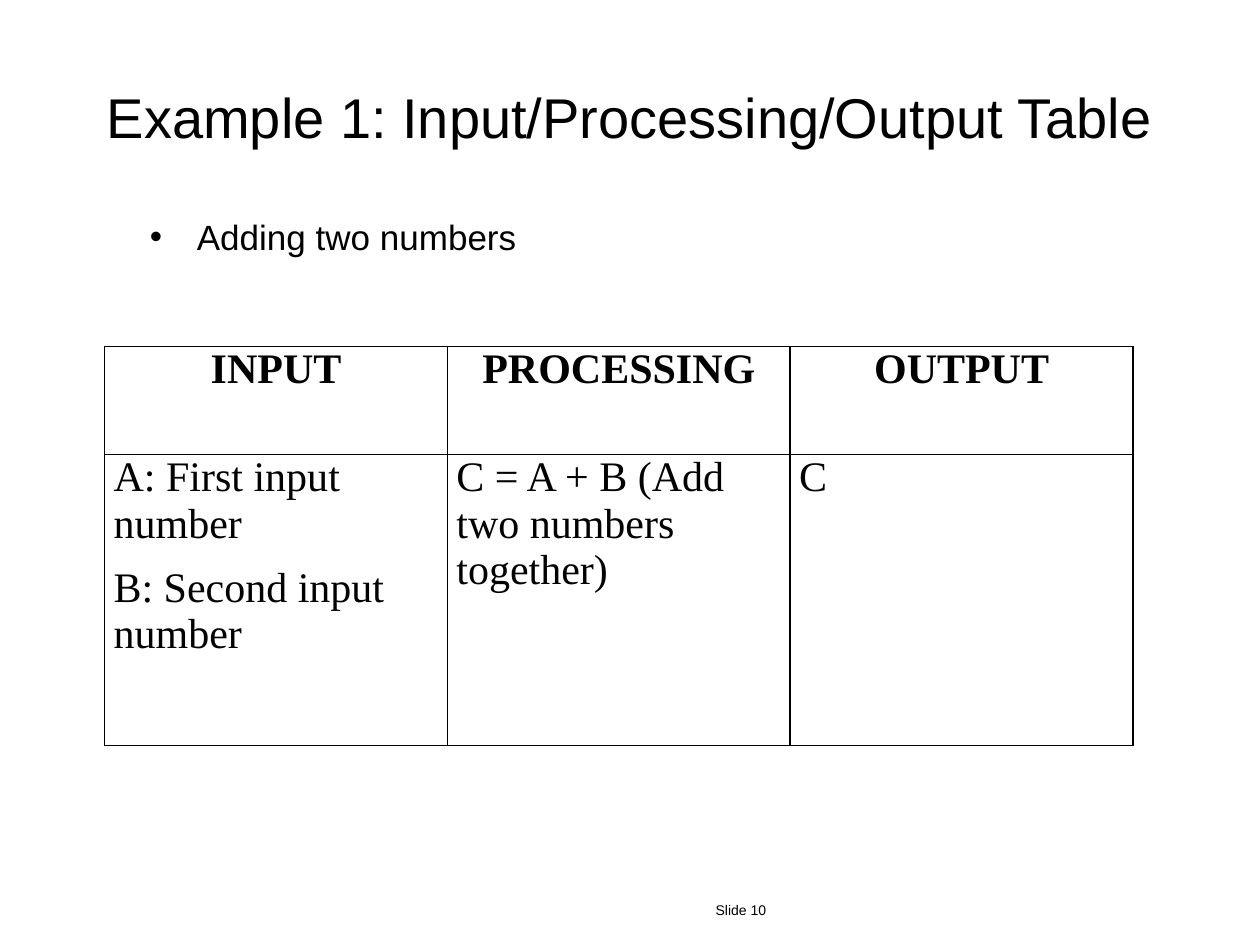
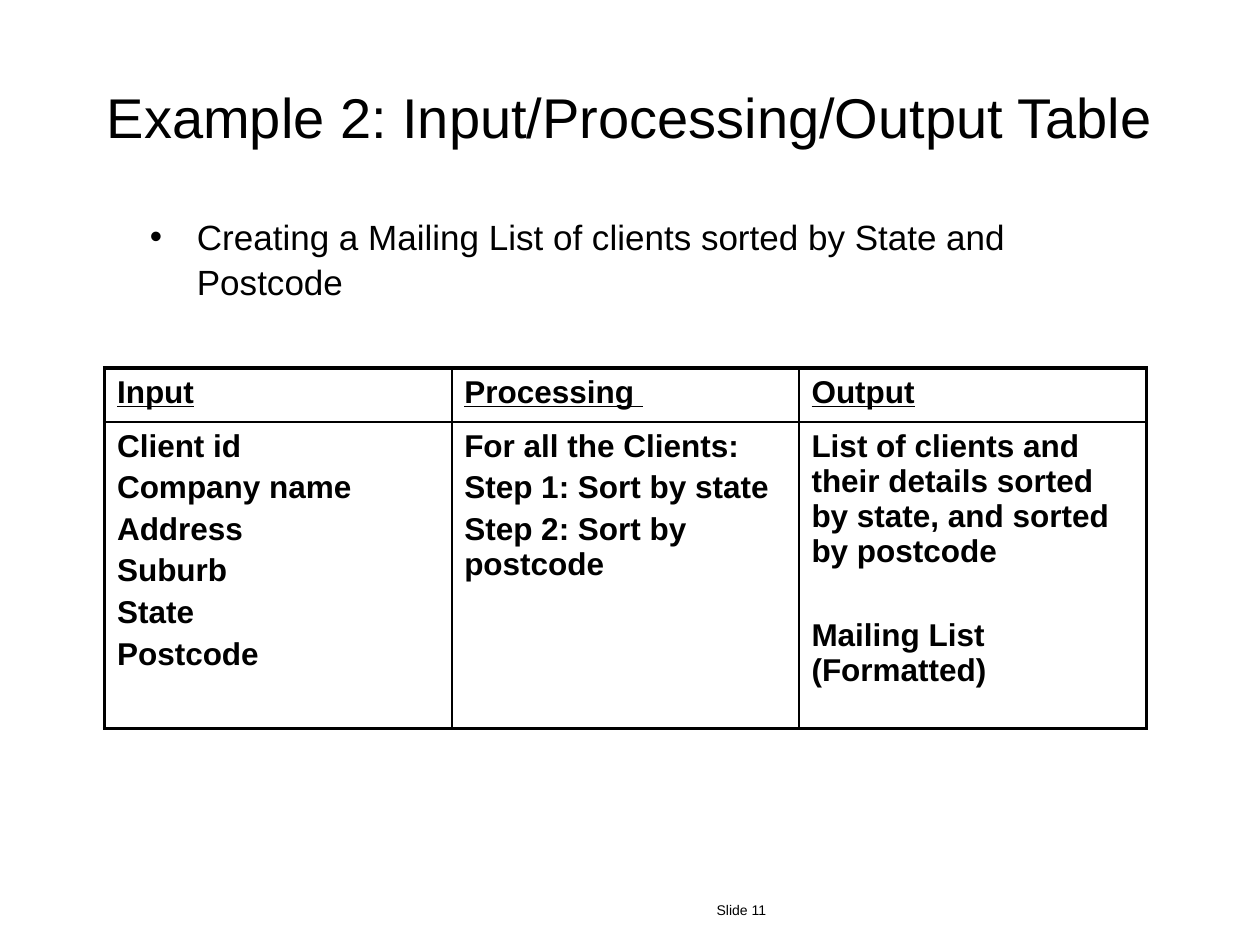
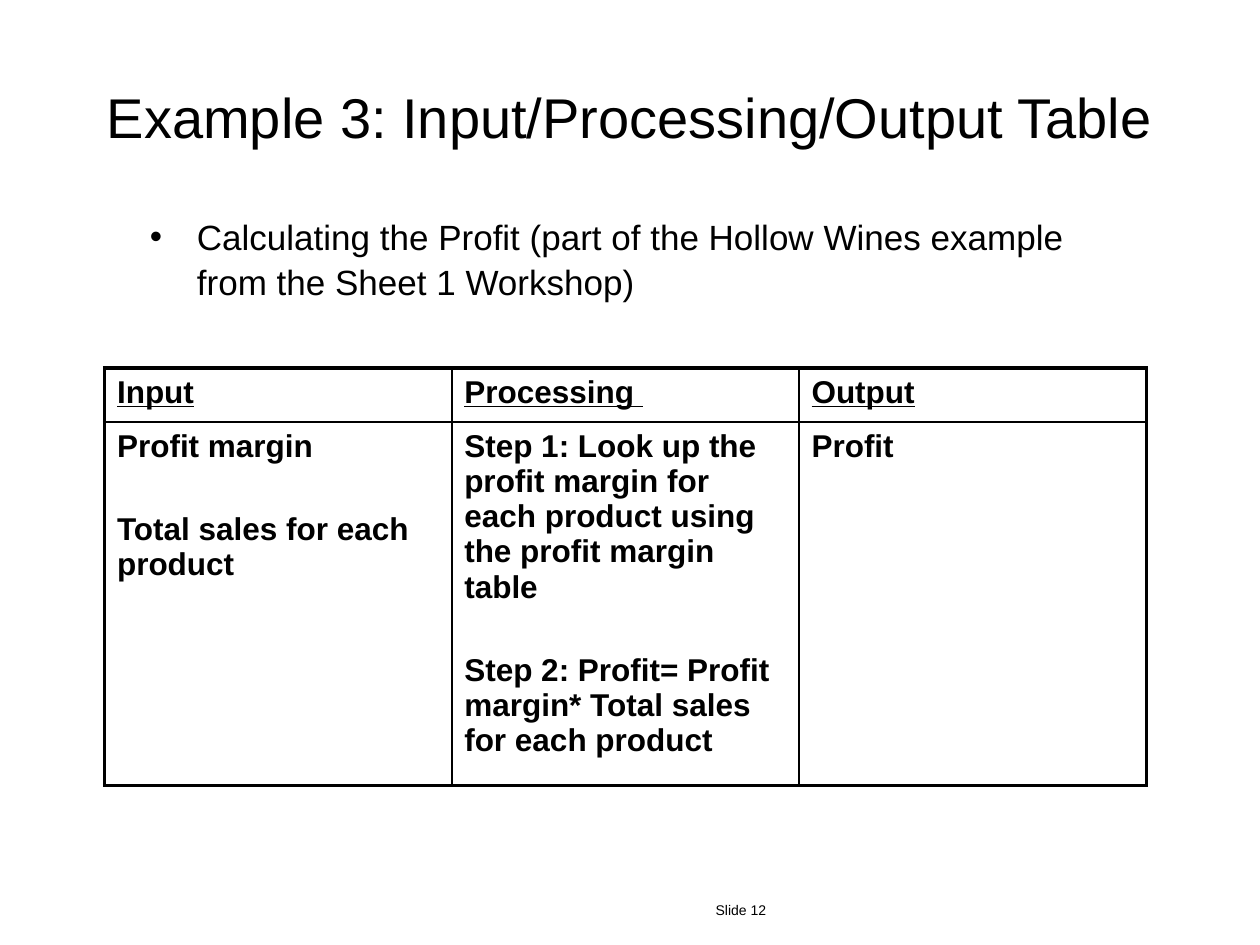
"""Build three slides that show input/processing/output tables."""

from dataclasses import dataclass
from typing import NamedTuple

from lxml.etree import SubElement
from pptx import Presentation
from pptx.dml.color import RGBColor
from pptx.enum.text import MSO_ANCHOR as Anchor, PP_ALIGN as Align
from pptx.oxml.ns import qn
from pptx.util import Cm, Length, Pt

BLACK = RGBColor(0x00, 0x00, 0x00)
SANS = "Arial"
SERIF = "Times New Roman"
TABLE_LEFT = Cm(2.11)
BULLET_INDENT = Cm(0.95)
FIRST_NUMBER = 10
STEP_HEADINGS = ("Input", "Processing ", "Output")


class Entry(NamedTuple):
    """A paragraph of a table cell, with a wide gap above if it is set apart."""

    text: str
    apart: bool = False


@dataclass(frozen=True)
class TableStyle:
    """The look of a table."""

    font: str
    size: Pt
    top: Length
    column_width: Length
    header_height: Length
    side_margin: Length
    end_margin: Length
    entry_gap: Pt
    apart_gap: Pt
    outer_line: Pt
    header_align: Align
    header_underline: bool
    body_bold: bool


@dataclass(frozen=True)
class Example:
    """The content of one slide."""

    task: str
    headings: tuple[str, ...]
    columns: tuple[tuple[Entry, ...], ...]
    body_height: Length
    style: TableStyle


PLAIN = TableStyle(SERIF, Pt(24), Cm(6.98), Cm(6.91), Cm(2.18), Cm(0.18), Cm(0),
                   Pt(10), Pt(10), Pt(1), Align.CENTER, False, False)
FRAMED = TableStyle(SANS, Pt(18), Cm(7.42), Cm(7), Cm(1.09), Cm(0.25), Cm(0.13),
                    Pt(3.6), Pt(27.3), Pt(2.25), Align.LEFT, True, True)

EXAMPLES = (
    Example(
        "Adding two numbers",
        ("INPUT", "PROCESSING", "OUTPUT"),
        (
            (Entry("A: First input number"), Entry("B: Second input number")),
            (Entry("C = A + B (Add two numbers together)"),),
            (Entry("C"),),
        ),
        Cm(5.87),
        PLAIN,
    ),
    Example(
        "Creating a Mailing List of clients sorted by State and Postcode",
        STEP_HEADINGS,
        (
            tuple(map(Entry, ("Client id", "Company name", "Address",
                              "Suburb", "State", "Postcode"))),
            tuple(map(Entry, ("For all the Clients:", "Step 1: Sort by state",
                              "Step 2: Sort by postcode"))),
            (
                Entry("List of clients and their details sorted by state, "
                      "and sorted by postcode"),
                Entry("Mailing List (Formatted)", apart=True),
            ),
        ),
        Cm(6.17),
        FRAMED,
    ),
    Example(
        "Calculating the Profit (part of the Hollow Wines example "
        "from the Sheet 1 Workshop)",
        STEP_HEADINGS,
        (
            (Entry("Profit margin"),
             Entry("Total sales for each product", apart=True)),
            (
                Entry("Step 1: Look up the profit margin for each product "
                      "using the profit margin table"),
                Entry("Step 2: Profit= Profit margin* Total sales "
                      "for each product", apart=True),
            ),
            (Entry("Profit"),),
        ),
        Cm(6.91),
        FRAMED,
    ),
)


def format_runs(paragraph, font: str, size: Pt, bold: bool = False,
                underline: bool = False) -> None:
    """Give every run of a paragraph the same black type."""
    for run in paragraph.runs:
        run.font.name = font
        run.font.size = size
        run.font.bold = bold
        run.font.underline = underline
        run.font.color.rgb = BLACK


def add_title(slide, text: str) -> None:
    """Move, fill and format the title placeholder."""
    title = slide.shapes.title
    title.left, title.top, title.width, title.height = (
        Cm(1.27), Cm(0.76), Cm(22.86), Cm(3.18))
    title.text_frame.text = text
    title.text_frame.vertical_anchor = Anchor.MIDDLE
    heading = title.text_frame.paragraphs[0]
    heading.alignment = Align.CENTER
    format_runs(heading, SANS, Pt(32))


def add_task(slide, text: str) -> None:
    """Add the bulleted line that names the task."""
    frame = slide.shapes.add_textbox(
        Cm(2.77), Cm(4.17), Cm(19.79), Cm(6.2)).text_frame
    frame.word_wrap = True
    frame.text = text
    task = frame.paragraphs[0]
    task.line_spacing = 1.07
    format_runs(task, SANS, Pt(20))
    properties = task._p.get_or_add_pPr()
    properties.set("marL", str(BULLET_INDENT))
    properties.set("indent", str(-BULLET_INDENT))
    SubElement(properties, qn("a:buFont"), typeface=SANS)
    SubElement(properties, qn("a:buChar"), char="•")


def add_slide_number(slide, number: int) -> None:
    """Add the slide number at the foot."""
    frame = slide.shapes.add_textbox(
        Cm(12.09), Cm(17.32), Cm(3.61), Cm(1.32)).text_frame
    frame.word_wrap = True
    frame.vertical_anchor = Anchor.BOTTOM
    frame.text = f"Slide {number}"
    frame.paragraphs[0].alignment = Align.RIGHT
    format_runs(frame.paragraphs[0], SANS, Pt(8))


def draw_borders(cell, outer_sides: set[str], outer_line: Pt) -> None:
    """Draw the four borders of a cell, with its outer sides in their own width."""
    properties = cell._tc.get_or_add_tcPr()
    for side in "LRTB":
        width = outer_line if side in outer_sides else Pt(1)
        border = SubElement(properties, qn(f"a:ln{side}"), w=str(width))
        fill = SubElement(border, qn("a:solidFill"))
        SubElement(fill, qn("a:srgbClr"), val=str(BLACK))


def fill_cell(cell, entries: tuple[Entry, ...], style: TableStyle,
              is_header: bool) -> None:
    """Write the entries of a cell one below the other."""
    cell.margin_left = cell.margin_right = style.side_margin
    cell.margin_top = cell.margin_bottom = style.end_margin
    cell.text_frame.text = "\n".join(entry.text for entry in entries)
    for paragraph, entry in zip(cell.text_frame.paragraphs, entries):
        paragraph.space_before = style.apart_gap if entry.apart else style.entry_gap
        paragraph.alignment = style.header_align if is_header else Align.LEFT
        format_runs(paragraph, style.font, style.size,
                    bold=is_header or style.body_bold,
                    underline=is_header and style.header_underline)


def add_steps_table(slide, example: Example) -> None:
    """Add the table of input, processing and output."""
    style = example.style
    count = len(example.headings)
    table = slide.shapes.add_table(
        2, count, TABLE_LEFT, style.top, style.column_width * count,
        style.header_height + example.body_height).table
    table.first_row = table.horz_banding = False
    table.rows[0].height = style.header_height
    table.rows[1].height = example.body_height
    header = tuple((Entry(heading),) for heading in example.headings)
    for row, contents in enumerate((header, example.columns)):
        for column, entries in enumerate(contents):
            cell = table.cell(row, column)
            outer_sides = {"B" if row else "T"}
            if column == 0:
                outer_sides.add("L")
            if column == count - 1:
                outer_sides.add("R")
            draw_borders(cell, outer_sides, style.outer_line)
            cell.fill.background()
            fill_cell(cell, entries, style, is_header=row == 0)


def main() -> None:
    """Build and save the presentation."""
    deck = Presentation()
    deck.slide_width, deck.slide_height = Cm(25.4), Cm(19.05)
    title_only = deck.slide_layouts[5]
    for index, example in enumerate(EXAMPLES):
        slide = deck.slides.add_slide(title_only)
        add_title(slide, f"Example {index + 1}: Input/Processing/Output Table")
        add_task(slide, example.task)
        add_steps_table(slide, example)
        add_slide_number(slide, FIRST_NUMBER + index)
    deck.save("out.pptx")


if __name__ == "__main__":
    main()
